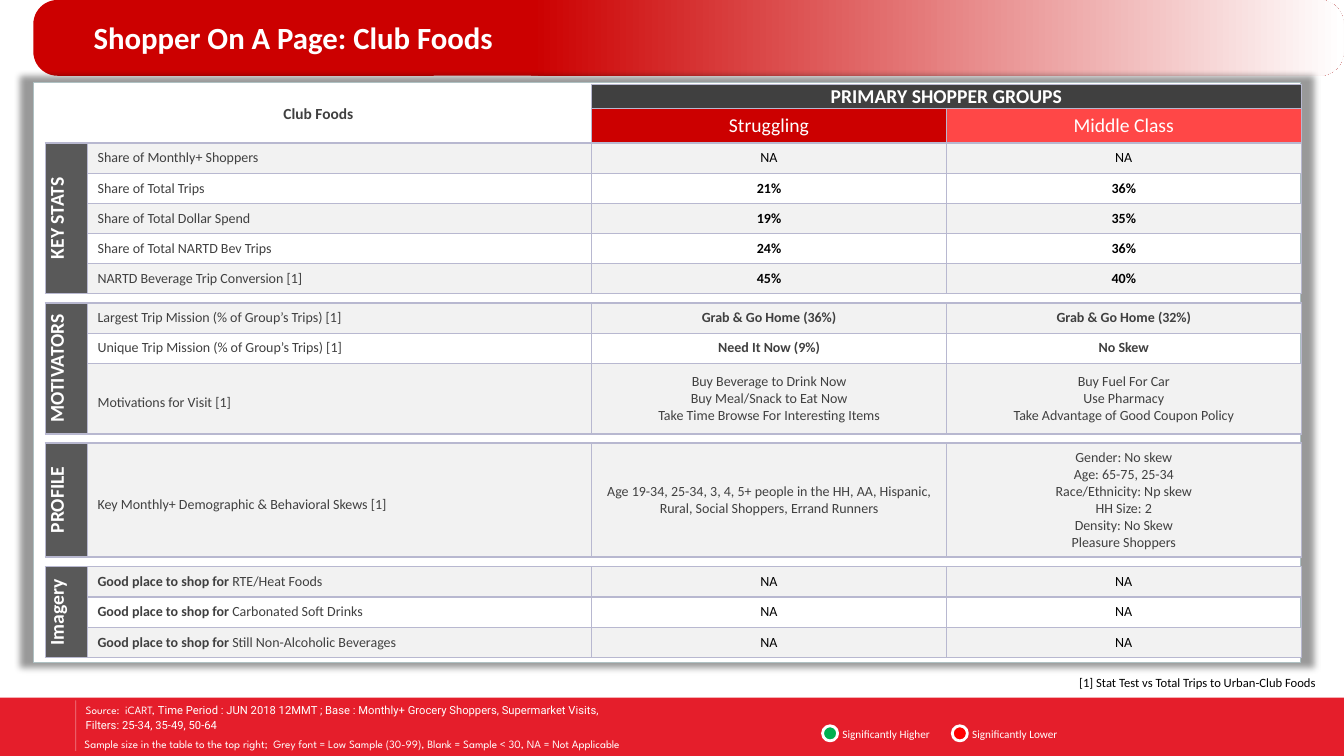
import pptx
import pptx.util
import pptx.dml.color
import pptx.enum.shapes
import pptx.enum.text
import pptx.oxml
from dataclasses import dataclass

Cm, Pt = pptx.util.Cm, pptx.util.Pt
RGB = pptx.dml.color.RGBColor.from_string
SHAPE = pptx.enum.shapes.MSO_SHAPE
ALIGN = pptx.enum.text.PP_ALIGN
ANCHOR = pptx.enum.text.MSO_ANCHOR
NS = 'xmlns:a="http://schemas.openxmlformats.org/drawingml/2006/main"'

# Content
TITLE = "Shopper On A Page: Club Foods"
CORNER = "Club Foods"
GROUP_TITLE = "PRIMARY SHOPPER GROUPS"
GROUPS = [("Struggling", "CC0000"), ("Middle Class", "FF4747")]
GOOD = "Good place to shop for "
# Section: name, height of the gap above it, rows of
# (height, bold label start, label, group values, value style)
SECTIONS = [
    ("KEY STATS", 0, [
        (0.76, "", "Share of Monthly+ Shoppers", ("NA", "NA"), "plain"),
        (0.76, "", "Share of Total Trips", ("21%", "36%"), "stat"),
        (0.76, "", "Share of Total Dollar Spend", ("19%", "35%"), "stat"),
        (0.76, "", "Share of Total NARTD Bev Trips", ("24%", "36%"), "stat"),
        (0.76, "", "NARTD Beverage Trip Conversion [1]", ("45%", "40%"), "stat"),
    ]),
    ("MOTIVATORS", 0.23, [
        (0.76, "", "Largest Trip Mission (% of Group’s Trips) [1]",
         ("Grab & Go Home (36%)", "Grab & Go Home (32%)"), "strong"),
        (0.76, "", "Unique Trip Mission (% of Group’s Trips) [1]",
         ("Need It Now (9%)", "No Skew"), "strong"),
        (1.78, "", "Motivations for Visit [1]",
         ("Buy Beverage to Drink Now\nBuy Meal/Snack to Eat Now\n"
          "Take Time Browse For Interesting Items",
          "Buy Fuel For Car\nUse Pharmacy\nTake Advantage of Good Coupon Policy"), "list"),
    ]),
    ("PROFILE", 0.23, [
        (2.87, "", "Key Monthly+ Demographic & Behavioral Skews [1]",
         ("Age 19-34, 25-34, 3, 4, 5+ people in the HH, AA, Hispanic, "
          "Rural, Social Shoppers, Errand Runners",
          "Gender: No skew\nAge: 65-75, 25-34\nRace/Ethnicity: Np skew\n"
          "HH Size: 2\nDensity: No Skew\nPleasure Shoppers"), "list"),
    ]),
    ("Imagery", 0.25, [
        (0.76, GOOD, "RTE/Heat Foods", ("NA", "NA"), "plain"),
        (0.76, GOOD, "Carbonated Soft Drinks", ("NA", "NA"), "plain"),
        (0.76, GOOD, "Still Non-Alcoholic Beverages", ("NA", "NA"), "plain"),
    ]),
]
FOOTNOTE = "[1] Stat Test vs Total Trips to Urban-Club Foods"
SOURCE = [
    [("Source:  iCART, ", {"name": "League Spartan"}),
     ("Time Period : JUN 2018 12MMT ; Base : Monthly+ Grocery Shoppers, Supermarket Visits,", {})],
    "Filters: 25-34, 35-49, 50-64",
]
SAMPLE = ("Sample size in the table to the top right;  Grey font = Low Sample (30-99), "
          "Blank = Sample < 30, NA = Not Applicable")
LEGEND = [("Significantly Higher", "00B050", 20.73), ("Significantly Lower", "FF0000", 24.0)]
COLUMNS = [1.07, 12.7, 8.94, 8.94]
HEADER_ROWS = [0.58, 0.88]


@dataclass(frozen=True)
class Theme:
    font: str = "Calibri"
    white: str = "FFFFFF"
    black: str = "000000"
    gray: str = "404040"
    side: str = "595959"
    stripe: str = "F2F2F2"
    grid: str = "B8B8D0"
    panel_line: str = "AFC1C3"
    red: str = "CC0000"
    footer: str = "E51E2B"
    title_pt: int = 22
    head_pt: int = 14
    corner_pt: int = 11
    body_pt: int = 10
    note_pt: int = 9
    small_pt: int = 8


T = Theme()
VALUE_STYLES = {  # colour, bold
    "plain": (T.black, False), "stat": (T.black, True),
    "strong": (T.gray, True), "list": (T.gray, False),
}

prs = pptx.Presentation()
prs.slide_width, prs.slide_height = Cm(33.87), Cm(19.05)
s = prs.slides.add_slide(prs.slide_layouts[6])


def write(tf, paragraphs, size, color, bold=False, font=T.font, align=ALIGN.LEFT,
          spacing=None, before=None, after=None):
    """Each paragraph is a string or a list of (text, run font settings)."""
    for i, content in enumerate(paragraphs):
        p = tf.paragraphs[0] if i == 0 else tf.add_paragraph()
        p.alignment, p.line_spacing, p.space_after = align, spacing, after
        if i:
            p.space_before = before
        p.font.size, p.font.bold, p.font.name = Pt(size), bold, font
        p.font.color.rgb = RGB(color)
        for text, settings in [(content, {})] if isinstance(content, str) else content:
            r = p.add_run()
            r.text = text
            for key, value in settings.items():
                setattr(r.font, key, value)


def add_text(box, paragraphs, size, color, anchor=ANCHOR.MIDDLE, **style):
    tf = s.shapes.add_textbox(*map(Cm, box)).text_frame
    tf.word_wrap, tf.vertical_anchor = True, anchor
    write(tf, paragraphs, size, color, **style)


def add_shape(kind, box, fill, line=None, width=0):
    sp = s.shapes.add_shape(kind, *map(Cm, box))
    sp.shadow.inherit = False
    sp.fill.solid()
    sp.fill.fore_color.rgb = RGB(fill)
    if line:
        sp.line.color.rgb, sp.line.width = RGB(line), Pt(width)
    else:
        sp.line.fill.background()
    return sp


def style_cell(cell, fill=None, sides="LRTB", left=0):
    cell.margin_left, cell.margin_right = Cm(left), 0
    cell.margin_top = cell.margin_bottom = 0
    cell.vertical_anchor = ANCHOR.MIDDLE
    if fill:
        cell.fill.solid()
        cell.fill.fore_color.rgb = RGB(fill)
    else:
        cell.fill.background()
    paint = f'<a:solidFill><a:srgbClr val="{T.grid}"/></a:solidFill>'
    for i, side in enumerate("LRTB"):
        inner = paint if side in sides else "<a:noFill/>"
        cell._tc.tcPr.insert(i, pptx.oxml.parse_xml(
            f'<a:ln{side} {NS} w="12700">{inner}</a:ln{side}>'))


# Footer
add_shape(SHAPE.RECTANGLE, (0, 17.58, 33.87, 1.47), T.footer)
add_text((1.91, 17.6, 16.54, 0.97), SOURCE, T.small_pt, T.white, font="Roboto", before=Pt(1.6))
add_text((1.88, 18.34, 18.92, 0.84), [SAMPLE], T.small_pt, T.white, font="League Spartan")
for label, color, x in LEGEND:
    add_text((x + 0.25, 18.24, 3.05, 0.51), [label], T.small_pt, T.white)
    add_shape(SHAPE.OVAL, (x, 18.29, 0.38, 0.38), color, T.white, 2)
rule = s.shapes.add_connector(pptx.enum.shapes.MSO_CONNECTOR.STRAIGHT,
                              Cm(1.91), Cm(17.65), Cm(1.91), Cm(18.92))
rule.line.color.rgb, rule.line.width = RGB(T.white), Pt(0.5)
rule.line._ln.find(".//{*}srgbClr").append(pptx.oxml.parse_xml(f'<a:alpha {NS} val="43000"/>'))
rule._element.spPr.append(pptx.oxml.parse_xml(f"<a:effectLst {NS}/>"))

# Title banner
banner = add_shape(SHAPE.ROUNDED_RECTANGLE, (0.84, 0, 33.02, 1.91), T.red)
banner.adjustments[0] = 0.32
stops = "".join(f'<a:gs pos="{pos}000"><a:srgbClr val="{color}"/></a:gs>'
                for pos, color in [(0, T.red), (38, T.red), (100, T.white)])
solid = banner._element.spPr.find("{*}solidFill")
solid.getparent().replace(solid, pptx.oxml.parse_xml(
    f'<a:gradFill {NS} rotWithShape="1"><a:gsLst>{stops}</a:gsLst><a:lin ang="0"/></a:gradFill>'))
add_text((2.11, 0.41, 27.51, 1.12), [TITLE], T.title_pt, T.white, ANCHOR.BOTTOM,
         bold=True, spacing=0.85, after=Pt(12))

# Panel with a soft shadow all round
panel = add_shape(SHAPE.RECTANGLE, (0.84, 2.08, 31.93, 14.61), T.white, T.panel_line, 0.75)
panel._element.spPr.find("{*}effectLst").append(pptx.oxml.parse_xml(
    f'<a:outerShdw {NS} blurRad="63500" sx="102000" sy="102000" algn="ctr" rotWithShape="0">'
    '<a:srgbClr val="000000"><a:alpha val="40000"/></a:srgbClr></a:outerShdw>'))

# Table grid
heights = list(HEADER_ROWS)
for _, gap, rows in SECTIONS:
    heights += ([gap] if gap else []) + [row[0] for row in rows]
table = s.shapes.add_table(len(heights), len(COLUMNS), Cm(1.14), Cm(2.13),
                           Cm(sum(COLUMNS)), Cm(sum(heights))).table
table.first_row = table.horz_banding = False
for column, width in zip(table.columns, COLUMNS):
    column.width = Cm(width)
for row, height in zip(table.rows, heights):
    row.height = Cm(height)

# Table header
for r in range(2):
    for c in range(2):
        style_cell(table.cell(r, c), sides="RB")
    for c, (name, color) in enumerate(GROUPS, 2):
        style_cell(table.cell(r, c), color if r else T.gray)
        if r:
            write(table.cell(r, c).text_frame, [name], T.head_pt, T.white, align=ALIGN.CENTER)
table.cell(0, 0).merge(table.cell(1, 1))
table.cell(0, 2).merge(table.cell(0, 3))
write(table.cell(0, 0).text_frame, [CORNER], T.corner_pt, T.gray, True, align=ALIGN.CENTER)
write(table.cell(0, 2).text_frame, [GROUP_TITLE], T.head_pt, T.white, True, align=ALIGN.CENTER)

# Table sections
top = len(HEADER_ROWS)
for name, gap, rows in SECTIONS:
    if gap:
        for c in range(len(COLUMNS)):
            style_cell(table.cell(top, c), sides="TB")
            table.cell(top, c).text_frame.paragraphs[0]._p.append(
                pptx.oxml.parse_xml(f'<a:endParaRPr {NS} sz="400"/>'))
        top += 1
    for i, (_, start, label, values, style) in enumerate(rows):
        fill = None if i % 2 else T.stripe
        side, head, *cells = [table.cell(top + i, c) for c in range(len(COLUMNS))]
        style_cell(side, T.side)
        style_cell(head, fill, left=0.25)
        runs = [(start, {"bold": True}), (label, {})] if start else label
        write(head.text_frame, [runs], T.body_pt, T.gray, spacing=1.5 if style == "list" else None)
        color, bold = VALUE_STYLES[style]
        for cell, value in zip(cells, values):
            style_cell(cell, fill)
            write(cell.text_frame, value.split("\n"), T.body_pt, color, bold, align=ALIGN.CENTER)
    side = table.cell(top, 0)
    if len(rows) > 1:
        side.merge(table.cell(top + len(rows) - 1, 0))
    side._tc.tcPr.set("vert", "vert270")
    write(side.text_frame, [name], T.head_pt, T.white, True, align=ALIGN.CENTER)
    top += len(rows)

# Footnote
add_text((20.98, 16.87, 12.42, 0.64), [FOOTNOTE], T.note_pt, T.black, ANCHOR.TOP,
         align=ALIGN.RIGHT)

prs.save("out.pptx")
